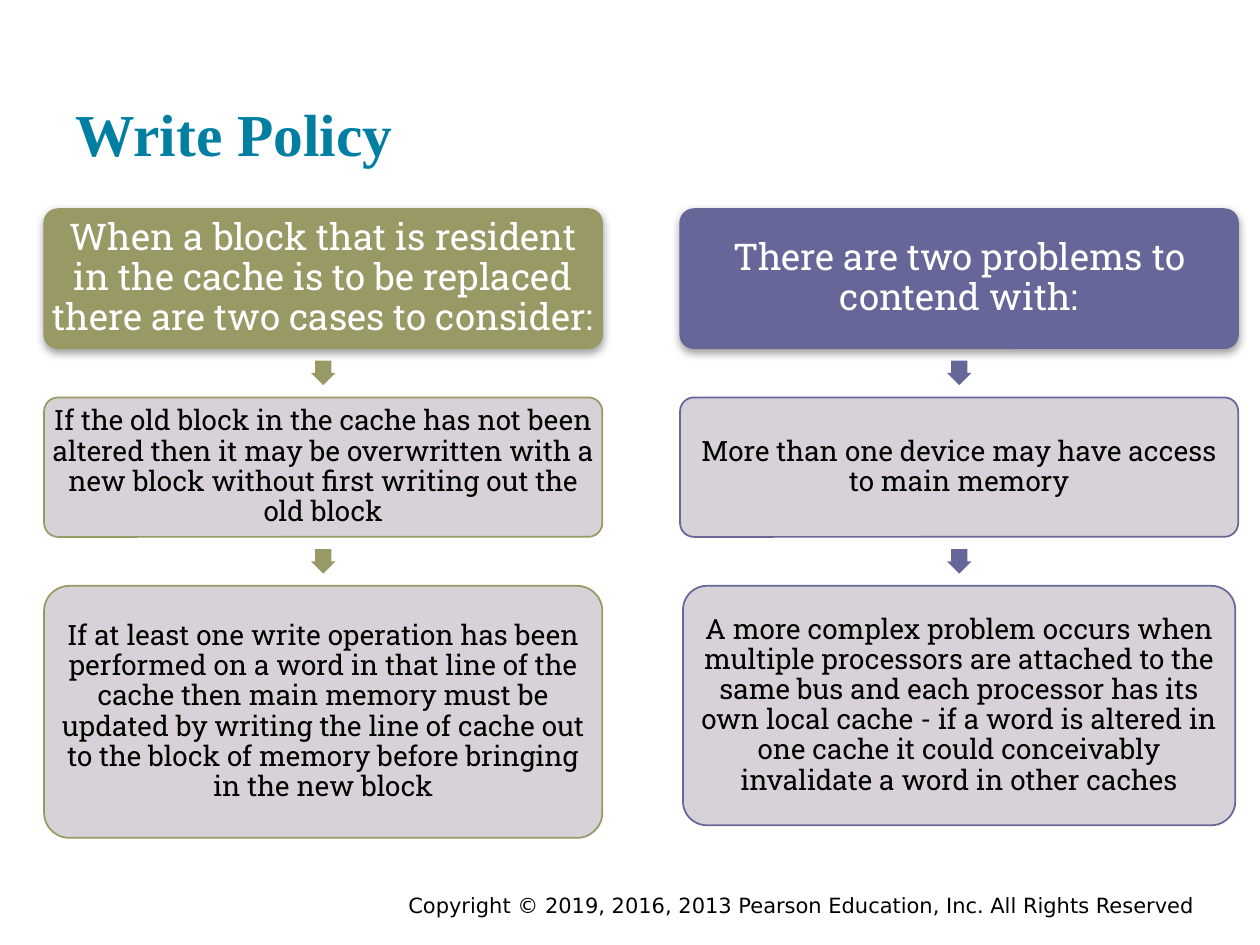
from dataclasses import dataclass

from lxml.etree import SubElement
from pptx import Presentation
from pptx.dml.color import RGBColor
from pptx.enum.shapes import MSO_SHAPE
from pptx.enum.text import MSO_ANCHOR, PP_ALIGN
from pptx.oxml import parse_xml
from pptx.oxml.ns import nsdecls, qn
from pptx.util import Pt

COLORS = {
    "title": "007FA3",
    "olive": "999966",
    "violet": "666699",
    "panel": "D3CED3",
    "white": "FFFFFF",
    "black": "000000",
    "shadow": "808080",
}
TOP, WIDTH, HEIGHT = 119.4, 319, 79.7
ARROW, ARROW_GAP = 14, 7
STEP = HEIGHT + ARROW + 2 * ARROW_GAP


@dataclass
class Card:
    text: str
    width: float = WIDTH
    height: float = HEIGHT
    heading: bool = False


@dataclass
class Column:
    left: float
    color: str
    cards: list[Card]


@dataclass
class Label:
    text: str
    bounds: tuple[float, float, float, float]
    margins: tuple[float, float, float, float]
    align: PP_ALIGN
    anchor: MSO_ANCHOR
    font: dict


COLUMNS = [
    Column(25.2, "olive", [
        Card("When a block that is resident in the cache is to be replaced "
             "there are two cases to consider:", heading=True),
        Card("If the old block in the cache has not been altered then it may be "
             "overwritten with a new block without first writing out the old block"),
        Card("If at least one write operation has been performed on a word in that "
             "line of the cache then main memory must be updated by writing the line "
             "of cache out to the block of memory before bringing in the new block",
             height=144),
    ]),
    Column(388.6, "violet", [
        Card("There are two problems to contend with:", heading=True),
        Card("More than one device may have access to main memory"),
        Card("A more complex problem occurs when multiple processors are attached "
             "to the same bus and each processor has its own local cache - if a word "
             "is altered in one cache it could conceivably invalidate a word in other "
             "caches", width=315.6, height=136.8),
    ]),
]

LABELS = [
    Label("Copyright © 2019, 2016, 2013 Pearson Education, Inc. All Rights Reserved",
          (126, 506.2, 563.8, 15.8), (7.2, 3.6, 7.2, 3.6), PP_ALIGN.RIGHT, MSO_ANCHOR.TOP,
          {"name": "DejaVu Sans", "size": Pt(12), "bold": False, "color": "black"}),
    Label("Write Policy",
          (36, 17.3, 648, 86.4), (7.2, 7.2, 7.2, 7.2), PP_ALIGN.LEFT, MSO_ANCHOR.BOTTOM,
          {"name": "Times New Roman", "size": Pt(34), "bold": True, "color": "title"}),
]


def rgb(name: str) -> RGBColor:
    return RGBColor.from_string(COLORS[name])


def write(shape, text: str, margins: tuple, align, anchor, font: dict) -> None:
    frame = shape.text_frame
    frame.word_wrap = True
    frame.vertical_anchor = anchor
    for side, margin in zip(("left", "top", "right", "bottom"), margins):
        setattr(frame, f"margin_{side}", Pt(margin))
    paragraph = frame.paragraphs[0]
    paragraph.alignment = align
    span = paragraph.add_run()
    span.text = text
    for key, value in font.items():
        if key == "color":
            span.font.color.rgb = rgb(value)
        else:
            setattr(span.font, key, value)


def add_filled(page, kind, bounds: tuple, color: str):
    shape = page.shapes.add_shape(kind, *map(Pt, bounds))
    shape.shadow.inherit = False
    shape.fill.solid()
    shape.fill.fore_color.rgb = rgb(color)
    return shape


def add_drop_shadow(shape) -> None:
    effects = shape.element.spPr.find(qn("a:effectLst"))
    effects.append(parse_xml(
        f'<a:outerShdw {nsdecls("a")} blurRad="{Pt(5)}" dist="{Pt(2)}" dir="5400000" '
        f'rotWithShape="0"><a:srgbClr val="{COLORS["shadow"]}">'
        '<a:alpha val="75000"/></a:srgbClr></a:outerShdw>'))


def make_translucent(shape, percent: int) -> None:
    color = shape.element.spPr.find(qn("a:solidFill"))[0]
    SubElement(color, qn("a:alpha"), val=str(percent * 1000))


def add_card(page, card: Card, left: float, top: float, color: str) -> None:
    box = add_filled(page, MSO_SHAPE.ROUNDED_RECTANGLE, (left, top, card.width, card.height),
                     color if card.heading else "panel")
    box.adjustments[0] = 0.1
    box.line.color.rgb = rgb(color)
    box.line.width = Pt(0.75 if card.heading else 1)
    if card.heading:
        add_drop_shadow(box)
    else:
        make_translucent(box, 90)
    size = 21 if card.heading else 16
    font = {"name": "Roboto Slab", "size": Pt(size),
            "color": "white" if card.heading else "black"}
    write(box, card.text, (size / 10,) * 4, PP_ALIGN.CENTER, MSO_ANCHOR.MIDDLE, font)
    box.text_frame.paragraphs[0].line_spacing = 0.9


def add_arrow(page, center: float, top: float, color: str) -> None:
    arrow = add_filled(page, MSO_SHAPE.RIGHT_ARROW,
                       (center - ARROW / 2, top, ARROW, ARROW), color)
    arrow.rotation = 90
    arrow.adjustments[0] = 0.667
    arrow.line.fill.background()


def add_column(page, column: Column) -> None:
    """Stack the cards on a fixed step, with an arrow in each gap."""
    center = column.left + WIDTH / 2
    for row, card in enumerate(column.cards):
        top = TOP + row * STEP
        if row:
            add_arrow(page, center, top - ARROW_GAP - ARROW, column.color)
        add_card(page, card, center - card.width / 2, top, column.color)


def main() -> None:
    deck = Presentation()
    deck.slide_width, deck.slide_height = Pt(720), Pt(540)
    page = deck.slides.add_slide(deck.slide_layouts[6])
    for label in LABELS:
        box = page.shapes.add_textbox(*map(Pt, label.bounds))
        write(box, label.text, label.margins, label.align, label.anchor, label.font)
    for column in COLUMNS:
        add_column(page, column)
    deck.save("out.pptx")


if __name__ == "__main__":
    main()
